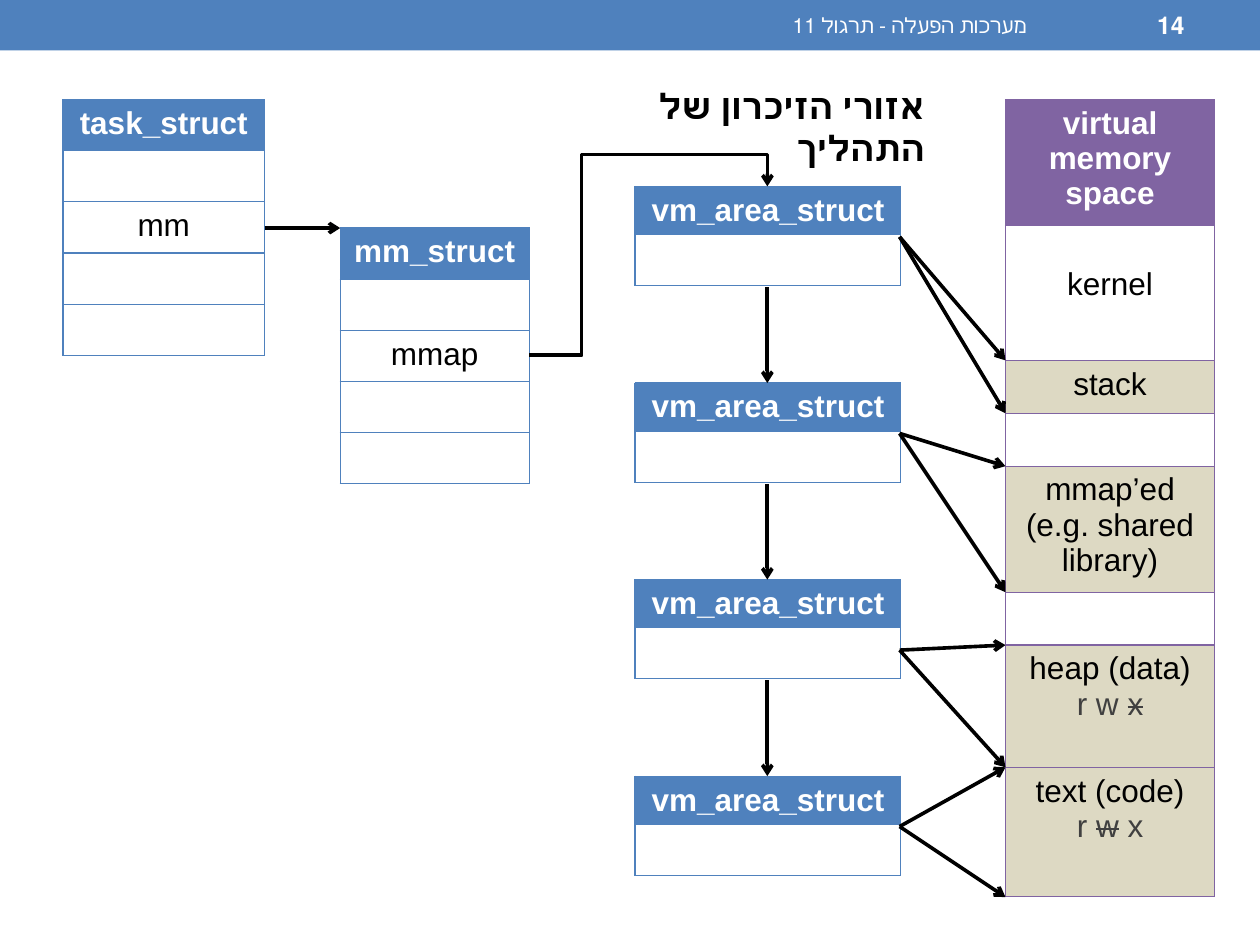
from dataclasses import dataclass

from lxml import etree
from pptx import Presentation
from pptx.dml.color import RGBColor
from pptx.enum.shapes import MSO_CONNECTOR, MSO_SHAPE
from pptx.enum.text import MSO_ANCHOR, MSO_AUTO_SIZE, PP_ALIGN
from pptx.oxml.ns import qn
from pptx.slide import Slide
from pptx.util import Inches, Pt

STRAIGHT, ELBOW = MSO_CONNECTOR.STRAIGHT, MSO_CONNECTOR.ELBOW
RECTANGLE = MSO_SHAPE.RECTANGLE
TOP, MIDDLE = MSO_ANCHOR.TOP, MSO_ANCHOR.MIDDLE
CENTER, RIGHT = PP_ALIGN.CENTER, PP_ALIGN.RIGHT
NO_AUTOFIT = MSO_AUTO_SIZE.NONE

COLORS = {
    "blue": "4F81BD",
    "purple": "8064A2",
    "tan": "DDD9C3",
    "gray": "404040",
    "black": "000000",
    "white": "FFFFFF",
}


def color(name):
    """Return the named palette colour."""
    return RGBColor.from_string(COLORS[name])


@dataclass
class MemoryDiagram:
    """Draw tables, arrows and text on one slide in a shared style."""

    slide: Slide
    font: str = "Arial"
    size: int = 18
    border: float = 0.75
    arrow_width: float = 2.08

    def style(self, run, color_name, size=None, bold=False):
        """Format one run."""
        run.font.name = self.font
        run.font.size = Pt(size or self.size)
        run.font.bold = bold
        run.font.color.rgb = color(color_name)

    def bar(self, left, top, width, height):
        """Draw the coloured page header."""
        shape = self.slide.shapes.add_shape(
            RECTANGLE, Inches(left), Inches(top), Inches(width), Inches(height))
        shape.shadow.inherit = False
        shape.fill.solid()
        shape.fill.fore_color.rgb = color("blue")
        shape.line.fill.background()

    def hebrew(self, shape, text, box, color_name, size, bold, anchor):
        """Place a shape and fill it with right-to-left text."""
        shape.left, shape.top, shape.width, shape.height = map(Inches, box)
        frame = shape.text_frame
        frame.text = text
        frame.word_wrap = True
        frame.auto_size = NO_AUTOFIT
        frame.vertical_anchor = anchor
        paragraph = frame.paragraphs[0]
        paragraph.alignment = RIGHT
        paragraph._p.get_or_add_pPr().set("rtl", "1")
        self.style(paragraph.runs[0], color_name, size, bold)

    def title(self, text, box):
        """Move and format the title placeholder."""
        self.hebrew(self.slide.shapes.title, text, box, "black", 20, True, TOP)

    def label(self, text, box, size, bold=False):
        """Add white text to the page header."""
        shape = self.slide.shapes.add_textbox(0, 0, 0, 0)
        self.hebrew(shape, text, box, "white", size, bold, MIDDLE)

    def cell(self, cell, text, fill, line, text_color="black", bold=False):
        """Format one table cell with its borders, fill and text."""
        properties = cell._tc.get_or_add_tcPr()
        for side in ("a:lnL", "a:lnR", "a:lnT", "a:lnB"):
            edge = etree.SubElement(properties, qn(side), w=str(Pt(self.border)))
            solid = etree.SubElement(edge, qn("a:solidFill"))
            etree.SubElement(solid, qn("a:srgbClr"), val=COLORS[line])
        cell.fill.solid()
        cell.fill.fore_color.rgb = color(fill)
        if text:
            cell.text_frame.text = text
            paragraph = cell.text_frame.paragraphs[0]
            paragraph.alignment = CENTER
            for run in paragraph.runs:
                self.style(run, text_color, bold=bold)

    def table(self, left, top, width, heights, texts, accent="blue", shaded=()):
        """Add a one-column table with a coloured header row."""
        frame = self.slide.shapes.add_table(
            len(heights), 1, Inches(left), Inches(top), Inches(width), Inches(sum(heights)))
        table = frame.table
        table.first_row = table.horz_banding = False
        for row, (height, text) in enumerate(zip(heights, texts)):
            table.rows[row].height = Inches(height)
            cell = table.cell(row, 0)
            if row == 0:
                self.cell(cell, text, accent, accent, "white", True)
            else:
                self.cell(cell, text, "tan" if row in shaded else "white", accent)
        return table

    def permissions(self, cell, denied):
        """Add the access rights to a cell, striking out the denied one."""
        paragraph = cell.text_frame.add_paragraph()
        paragraph.alignment = CENTER
        before, after = "r w x".split(denied)
        for text in filter(None, (before, denied, after)):
            run = paragraph.add_run()
            run.text = text
            self.style(run, "gray")
            if text == denied:
                run._r.get_or_add_rPr().set("strike", "sngStrike")

    def arrow(self, start, end, kind=STRAIGHT):
        """Add a black connector with an open arrowhead."""
        connector = self.slide.shapes.add_connector(kind, *map(Inches, (*start, *end)))
        connector.line.color.rgb = color("black")
        connector.line.width = Pt(self.arrow_width)
        etree.SubElement(connector.line._get_or_add_ln(), qn("a:tailEnd"), type="arrow")
        etree.SubElement(connector._element.spPr, qn("a:effectLst"))
        return connector

    def bent_arrow(self, start, end, adjustments):
        """Add an arrow with three bends."""
        connector = self.arrow(start, end, ELBOW)
        geometry = connector._element.spPr.find(qn("a:prstGeom"))
        geometry.set("prst", "bentConnector4")
        guides = geometry.find(qn("a:avLst"))
        for number, value in enumerate(adjustments, 1):
            etree.SubElement(guides, qn("a:gd"), name=f"adj{number}",
                             fmla=f"val {round(value * 100000)}")


def main():
    """Build the process memory slide."""
    presentation = Presentation()
    presentation.slide_width, presentation.slide_height = Inches(10), Inches(7.5)
    slide = presentation.slides.add_slide(presentation.slide_layouts[5])
    diagram = MemoryDiagram(slide)

    diagram.bar(0, 0, 10, 0.4)
    diagram.label("14", (8.33, 0.02, 1.17, 0.36), 14, bold=True)
    diagram.label("מערכות הפעלה - תרגול 11", (3.75, 0.02, 4.5, 0.36), 12)
    diagram.title("אזורי הזיכרון של התהליך", (4.26, 0.62, 3.18, 0.44))

    struct_rows = [0.406] * 5
    diagram.table(0.5, 0.79, 1.6, struct_rows, ["task_struct", "", "mm", "", ""])
    diagram.table(2.7, 1.81, 1.5, struct_rows, ["mm_struct", "", "mmap", "", ""])

    space_top, space_left = 0.79, 7.98
    space_rows = [1, 1.07, 0.42, 0.42, 1, 0.42, 0.97, 1.03]
    space = diagram.table(
        space_left, space_top, 1.66, space_rows,
        ["virtual memory\vspace", "kernel", "stack", "", "mmap’ed (e.g. shared library)",
         "", "heap (data)", "text (code)"],
        accent="purple", shaded=(2, 4, 6, 7))
    space.cell(1, 0).margin_top = Inches(0.33)
    diagram.permissions(space.cell(6, 0), "x")
    diagram.permissions(space.cell(7, 0), "w")

    area_left, area_width, area_height = 5.04, 2.11, 0.8
    area_middle, area_right = 6.09, 7.14
    area_tops = [1.48 + 1.56 * index for index in range(4)]
    for top in area_tops:
        diagram.table(area_left, top, area_width, [0.38] * 2, ["vm_area_struct", ""])
    for top, next_top in zip(area_tops, area_tops[1:]):
        diagram.arrow((area_middle, top + area_height), (area_middle, next_top))

    region_rows = (2, 4, 6, 7)
    for start, row in zip((1.88, 3.44, 5.16, 6.56), region_rows):
        for edge in (row, row + 1):
            diagram.arrow((area_right, start), (space_left, space_top + sum(space_rows[:edge])))

    diagram.arrow((2.1, 1.81), (2.7, 1.81))
    diagram.bent_arrow((4.2, 2.82), (area_middle, area_tops[0]), (0.22, 1.19))

    presentation.save("out.pptx")


if __name__ == "__main__":
    main()
